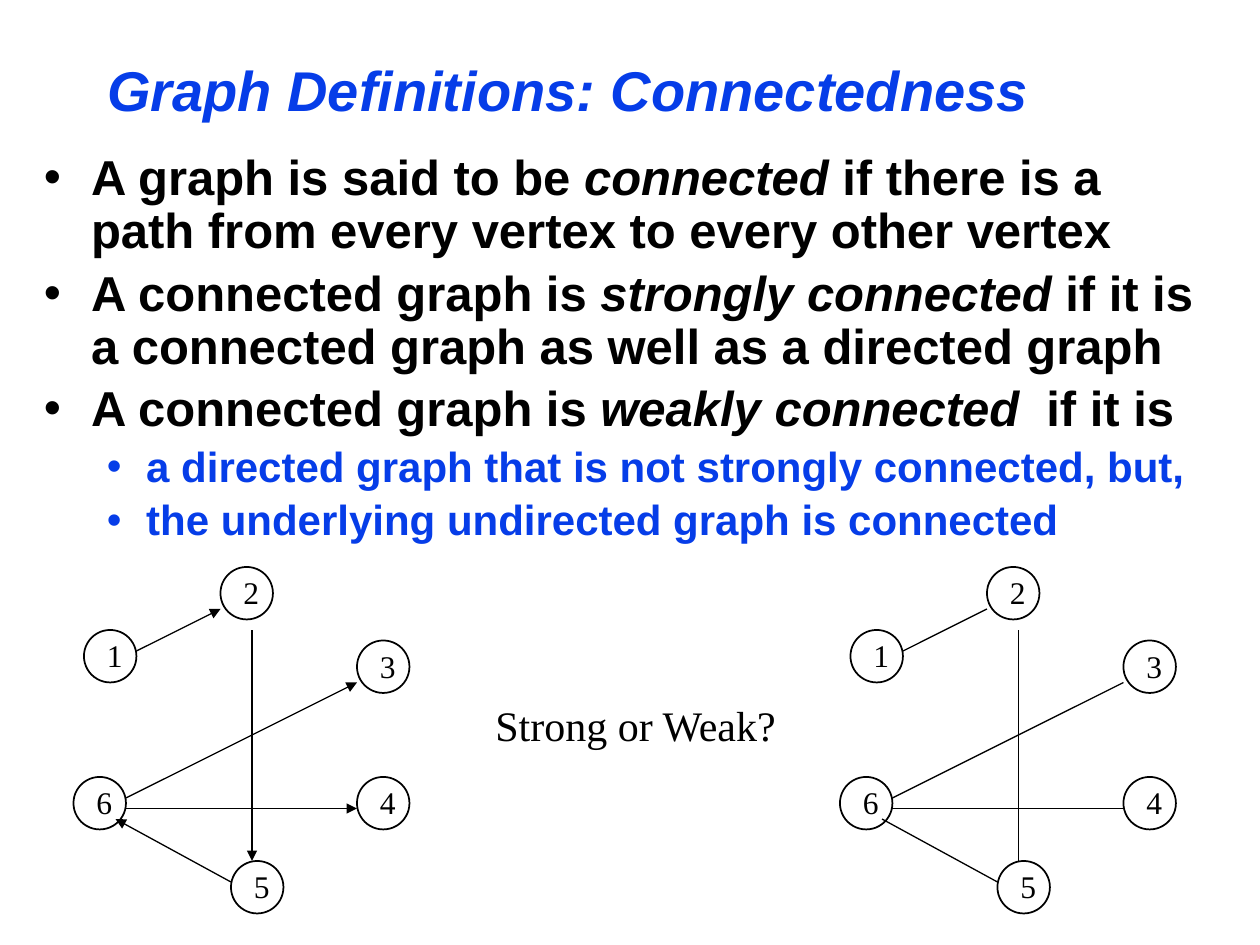
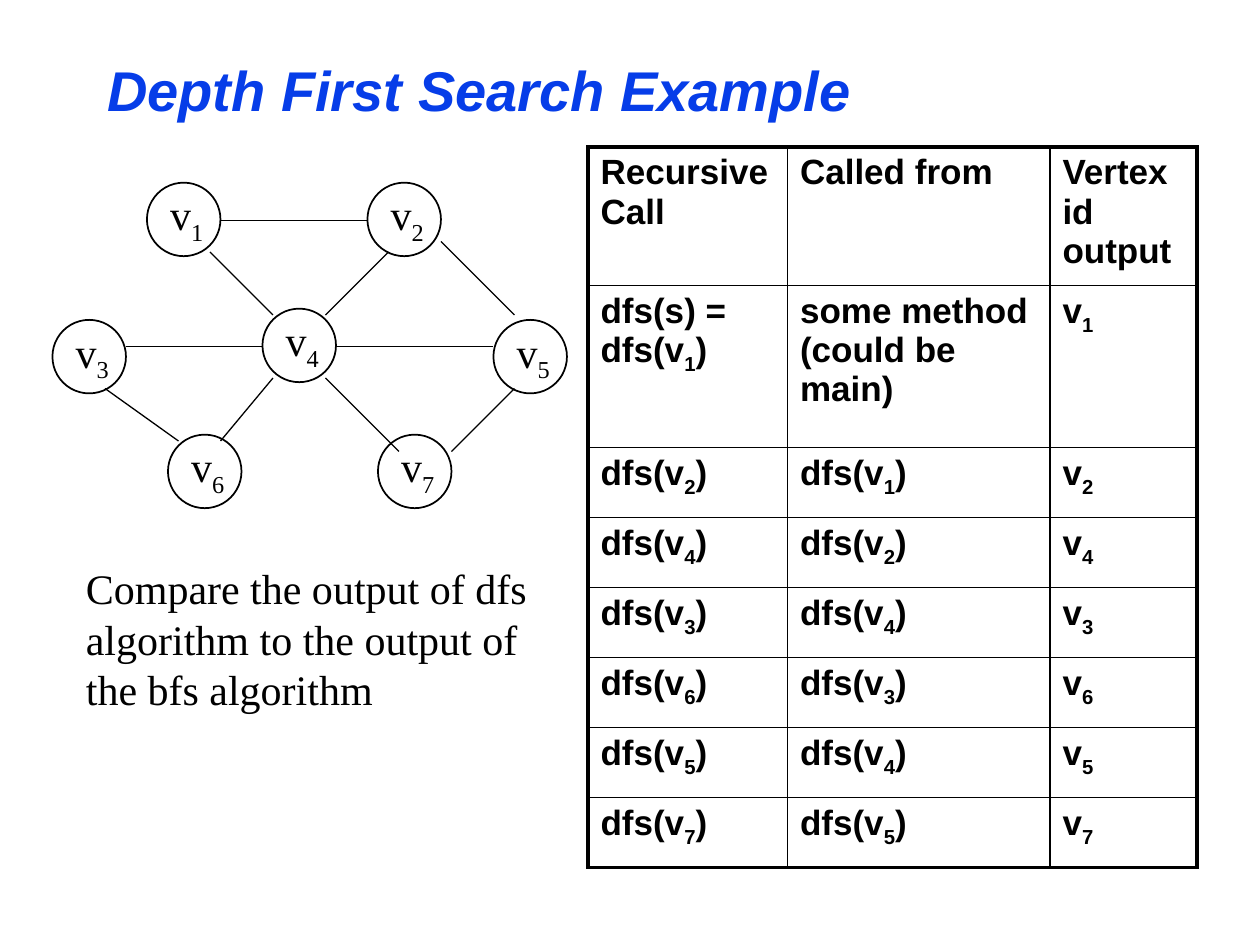
"""Builds two slides on graph connectedness and depth first search."""
from dataclasses import dataclass

from lxml import etree
from pptx import Presentation
from pptx import util as u
from pptx.dml.color import RGBColor
from pptx.enum import shapes, text
from pptx.oxml import ns

Pt = u.Pt


@dataclass(frozen=True)
class Theme:
    """Colours, fonts and sizes shared by the slides."""
    accent: RGBColor = RGBColor(0x06, 0x3D, 0xE8)
    ink: RGBColor = RGBColor(0, 0, 0)
    heading_font: str = "Arial"
    note_font: str = "Times New Roman"
    title_size: int = 32
    point_size: int = 28
    note_size: int = 24
    cell_size: int = 20
    number_size: int = 18
    outline: float = 1
    edge: float = 0.75
    frame: float = 2.25


THEME = Theme()

POINTS = [
    (0, "A graph is said to be *connected* if there is a path from every vertex to every other vertex"),
    (0, "A connected graph is *strongly connected* if it is a connected graph as well as a directed graph"),
    (0, "A connected graph is *weakly connected * if it is"),
    (1, "a directed graph that is not strongly connected, but,"),
    (1, "the underlying undirected graph is connected"),
]
POINT_STYLES = [(27, 27, THEME.point_size, THEME.ink),
                (58.5, 22.5, THEME.note_size, THEME.accent)]

NUMBERED_VERTICES = {"1": (6, 36), "2": (84, 0), "3": (162, 42),
                     "4": (162, 120), "5": (90, 168), "6": (0, 120)}
NUMBERED_EDGES = [(36, 48, 84, 24), (102, 36, 102, 168), (30, 132, 162, 66),
                  (30, 138, 162, 138), (90, 180, 24, 144)]

SEARCH_VERTICES = {"v*1*": (54, 2.4), "v*2*": (180, 2.4), "v*3*": (0, 80.8),
                   "v*4*": (120, 74.4), "v*5*": (252, 80.8),
                   "v*6*": (66, 146.4), "v*7*": (186, 146.4)}
SEARCH_EDGES = [(96, 24, 180, 24), (222, 36, 264, 78), (90, 42, 126, 78),
                (192, 42, 156, 78), (120, 96, 42, 96), (162, 96, 252, 96),
                (30, 120, 72, 150), (126, 114, 96, 150), (156, 114, 198, 156),
                (264, 120, 228, 156)]

CALLS = [(2, 1), (4, 2), (3, 4), (6, 3), (5, 4), (7, 5)]
TRACE = [("Recursive Call", "Called from", "Vertex id output"),
         ("dfs(s) = dfs(v*1*)", "some method (could be main)", "v*1*")]
TRACE += [(f"dfs(v*{callee}*)", f"dfs(v*{caller}*)", f"v*{callee}*")
          for callee, caller in CALLS]


def italicise(run):
    """Set a run in italics."""
    run.font.italic = True


def subscript(run):
    """Lower a run below the baseline."""
    run.font._element.set("baseline", "-25000")


def write(paragraph, markup, font, size, color=THEME.ink, bold=False, mark=subscript):
    """Fill a paragraph, applying mark to the parts between asterisks."""
    paragraph.font.name = font
    paragraph.font.size = Pt(size)
    paragraph.font.bold = bold
    paragraph.font.color.rgb = color
    for index, part in enumerate(markup.split("*")):
        if part:
            run = paragraph.add_run()
            run.text = part
            if index % 2:
                mark(run)


def add_frame(parent, left, top, width, height):
    """Add a wrapping text box and return its text frame."""
    frame = parent.add_textbox(Pt(left), Pt(top), Pt(width), Pt(height)).text_frame
    frame.word_wrap = True
    return frame


def add_note(slide, words, box):
    """Add a remark in the serif face."""
    write(add_frame(slide.shapes, *box).paragraphs[0], words,
          THEME.note_font, THEME.note_size)


def add_titled_slide(deck, heading):
    """Add a title-only slide with the shared title style."""
    slide = deck.slides.add_slide(deck.slide_layouts.get_by_name("Title Only"))
    title = slide.shapes.title
    title.left, title.top, title.width, title.height = Pt(54), Pt(24), Pt(612), Pt(54)
    frame = title.text_frame
    frame.auto_size = text.MSO_AUTO_SIZE.NONE
    frame.vertical_anchor = text.MSO_ANCHOR.MIDDLE
    paragraph = frame.paragraphs[0]
    paragraph.alignment = text.PP_ALIGN.LEFT
    write(paragraph, heading, THEME.heading_font, THEME.title_size, THEME.accent, True)
    paragraph.font.italic = True
    return slide


def add_points(slide, box):
    """Add the two-level bulleted definitions."""
    frame = add_frame(slide.shapes, *box)
    for index, (level, words) in enumerate(POINTS):
        paragraph = frame.add_paragraph() if index else frame.paragraphs[0]
        margin, hang, size, color = POINT_STYLES[level]
        paragraph.level = level
        paragraph.line_spacing = 0.9
        if index:
            paragraph.space_before = Pt(size * 0.2)
        properties = paragraph._p.get_or_add_pPr()
        properties.set("marL", str(Pt(margin)))
        properties.set("indent", str(-Pt(hang)))
        etree.SubElement(properties, ns.qn("a:buFont"), typeface=THEME.heading_font)
        etree.SubElement(properties, ns.qn("a:buChar"), char="•")
        write(paragraph, words, THEME.heading_font, size, color, True, italicise)


def add_vertex(slide, label, left, top, diameter, label_box, inset, size):
    """Add a circle grouped with its label."""
    vertex = slide.shapes.add_group_shape().shapes
    circle = vertex.add_shape(shapes.MSO_SHAPE.OVAL, Pt(left), Pt(top),
                              Pt(diameter), Pt(diameter))
    circle.shadow.inherit = False
    circle.fill.background()
    circle.line.color.rgb = THEME.ink
    circle.line.width = Pt(THEME.outline)
    shift, width, height = label_box
    frame = add_frame(vertex, left + shift, top, width, height)
    frame.margin_left, frame.margin_right = Pt(inset), 0
    write(frame.paragraphs[0], label, THEME.note_font, size)


def add_edge(slide, start_x, start_y, end_x, end_y, directed):
    """Add a straight edge, with an arrowhead if directed."""
    edge = slide.shapes.add_connector(shapes.MSO_CONNECTOR.STRAIGHT, Pt(start_x),
                                      Pt(start_y), Pt(end_x), Pt(end_y))
    edge.line.color.rgb = THEME.ink
    edge.line.width = Pt(THEME.edge)
    if directed:
        etree.SubElement(edge.line._get_or_add_ln(), ns.qn("a:tailEnd"), type="triangle")
    etree.SubElement(edge._element.spPr, ns.qn("a:effectLst"))


def add_graph(slide, origin, vertices, edges, vertex_style, directed=False):
    """Place vertices and edges relative to the origin."""
    left, top = origin
    for label, (x, y) in vertices.items():
        add_vertex(slide, label, left + x, top + y, **vertex_style)
    for x1, y1, x2, y2 in edges:
        add_edge(slide, left + x1, top + y1, left + x2, top + y2, directed)


def set_borders(cell, widths):
    """Draw the cell's left, right, top and bottom borders."""
    properties = cell._tc.get_or_add_tcPr()
    for side, width in zip("LRTB", widths):
        line = etree.SubElement(properties, ns.qn(f"a:ln{side}"), w=str(Pt(width)))
        fill = etree.SubElement(line, ns.qn("a:solidFill"))
        etree.SubElement(fill, ns.qn("a:srgbClr"), val=str(THEME.ink))


def add_trace(slide, left, top, column_widths, row_heights):
    """Add the table of recursive calls with a heavy outer frame."""
    trace = slide.shapes.add_table(len(row_heights), len(column_widths), Pt(left), Pt(top),
                                   Pt(sum(column_widths)), Pt(sum(row_heights))).table
    trace.first_row = trace.horz_banding = False
    for column, width in zip(trace.columns, column_widths):
        column.width = Pt(width)
    for row, height in zip(trace.rows, row_heights):
        row.height = Pt(height)
    last_row, last_column = len(row_heights) - 1, len(column_widths) - 1
    for r, entries in enumerate(TRACE):
        for c, entry in enumerate(entries):
            cell = trace.cell(r, c)
            outer = (c == 0, c == last_column, r == 0, r == last_row)
            set_borders(cell, [THEME.frame if side else THEME.outline for side in outer])
            cell.fill.background()
            write(cell.text_frame.paragraphs[0], entry, THEME.heading_font,
                  THEME.cell_size, bold=True)


def build_connectedness(deck):
    """Build the definitions slide with directed and undirected graphs."""
    slide = add_titled_slide(deck, "Graph Definitions: Connectedness")
    add_points(slide, (18, 84, 678, 240))
    style = dict(diameter=30, label_box=(6, 24, 28.8), inset=7.2, size=THEME.number_size)
    for left, directed in ((42, True), (480, False)):
        add_graph(slide, (left, 324), NUMBERED_VERTICES, NUMBERED_EDGES, style, directed)
    add_note(slide, "Strong or Weak?", (276, 396, 177, 36))


def build_search(deck):
    """Build the depth first search slide with its call table."""
    slide = add_titled_slide(deck, "Depth First Search Example")
    add_trace(slide, 336, 84, (114, 150, 84), [79.2, 92.6] + [40] * len(CALLS))
    style = dict(diameter=42, label_box=(0, 40, 36), inset=13.2, size=THEME.note_size)
    add_graph(slide, (30, 102), SEARCH_VERTICES, SEARCH_EDGES, style)
    add_note(slide, "Compare the output of dfs algorithm to the output of the bfs algorithm",
             (42, 318, 283, 93.6))


def main():
    """Build and save the deck."""
    deck = Presentation()
    deck.slide_width, deck.slide_height = Pt(720), Pt(540)
    build_connectedness(deck)
    build_search(deck)
    deck.save("out.pptx")


if __name__ == "__main__":
    main()
